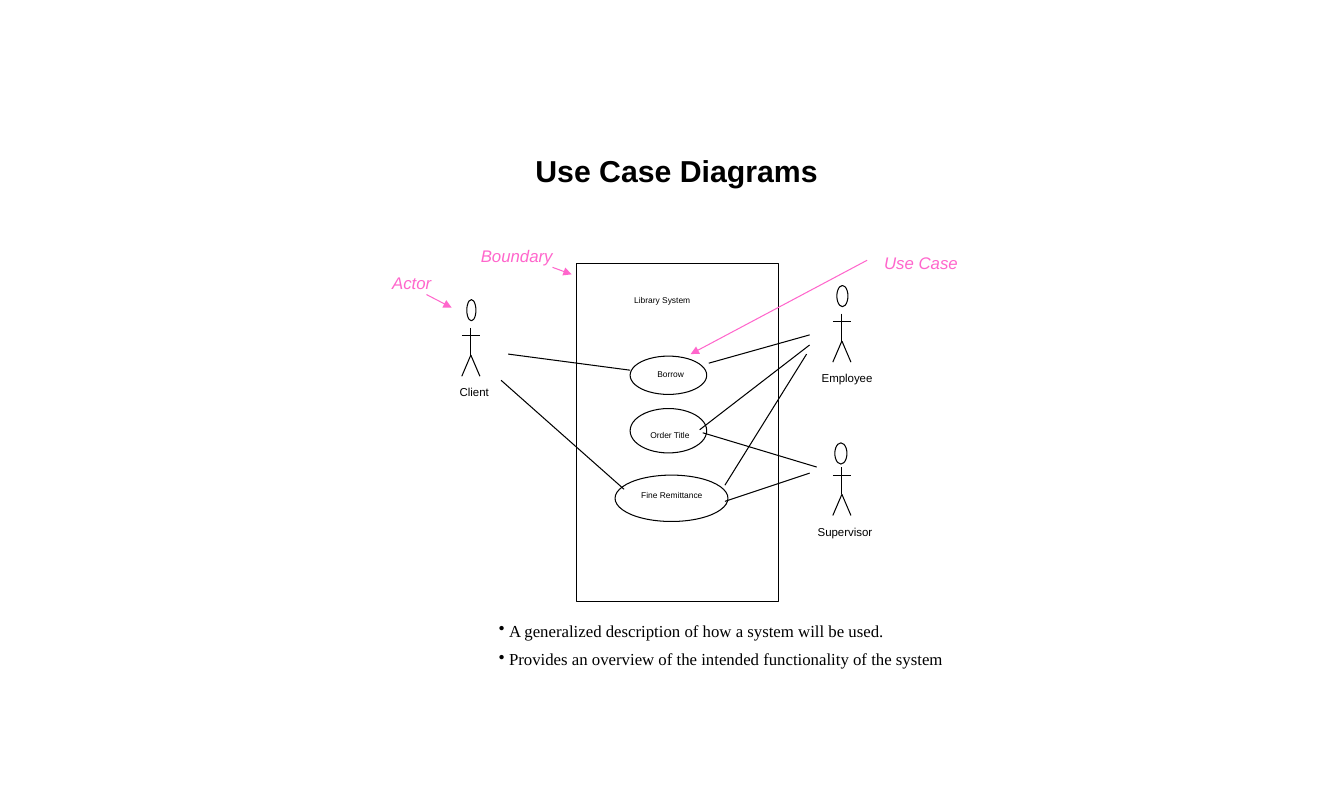
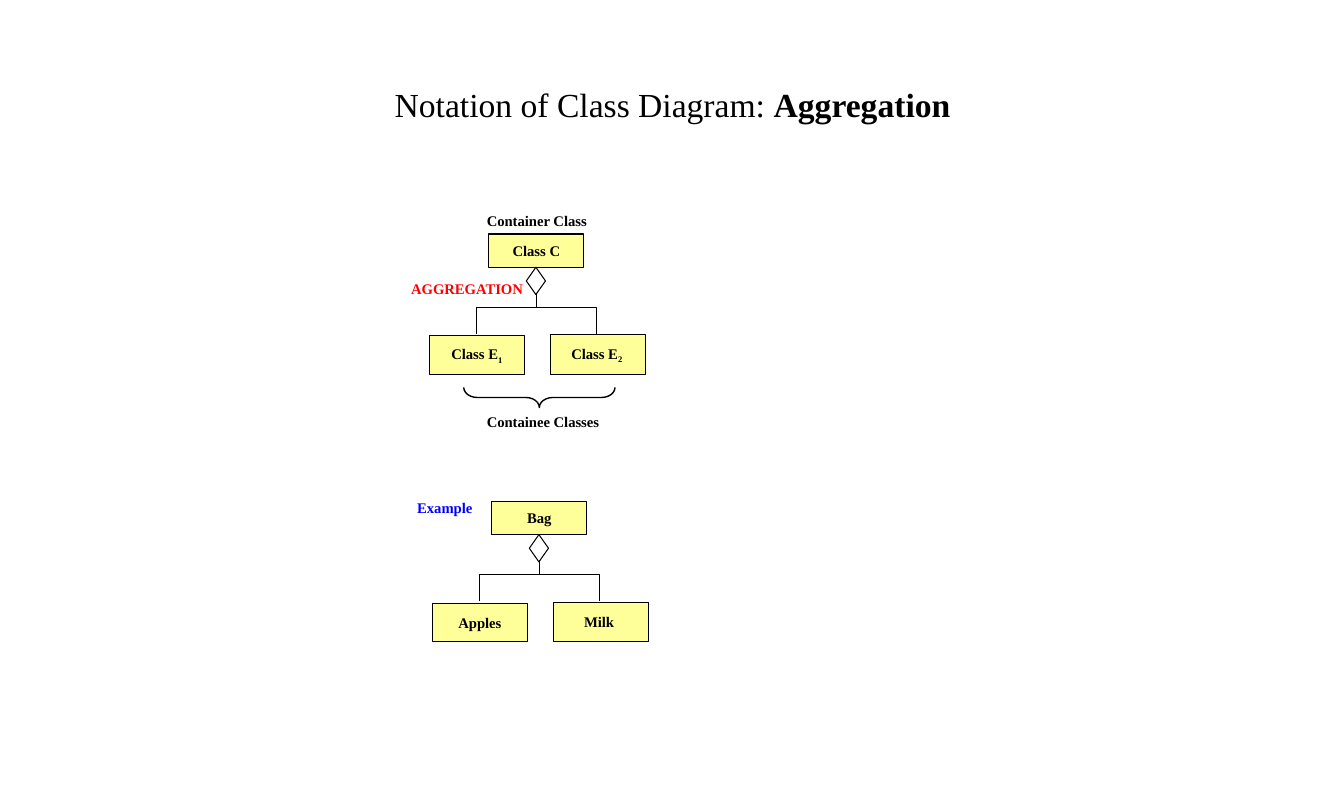
"""Build two UML slides: a use case diagram and the aggregation notation."""
from lxml import etree
from pptx import Presentation
from pptx.dml.color import RGBColor
from pptx.enum.shapes import MSO_CONNECTOR as Connector, MSO_SHAPE as Preset
from pptx.enum.text import MSO_ANCHOR as Anchor, PP_ALIGN as Align
from pptx.oxml.ns import qn
from pptx.util import Inches, Pt

COLORS = {"ink": "000000", "paper": "FFFFFF", "note": "FF66CC",
          "class": "FFFF99", "relation": "FF0000", "example": "0000FF"}
SANS, SERIF = "Arial", "Times New Roman"
PADDED, TIGHT = (0.1, 0.05, 0.1, 0.05), (0, 0, 0, 0)

USE_CASE_TITLE = "Use Case Diagrams"
BOUNDARY = (5.72, 2.61, 2, 3.35)
SYSTEM_LABEL = ("Library System", (6.29, 2.93, 0.74, 0.11))
USE_CASES = [
    ("Borrow", (6.25, 3.53, 0.76, 0.38), (6.52, 3.66, 0.3, 0.11)),
    ("Order Title", (6.25, 4.05, 0.76, 0.44), (6.45, 4.26, 0.43, 0.11)),
    ("Fine Remittance", (6.1, 4.71, 1.12, 0.46), (6.36, 4.86, 0.65, 0.11)),
]
ASSOCIATIONS = [
    ((5.04, 3.51), (6.25, 3.67)),
    ((4.97, 3.77), (6.19, 4.85)),
    ((8.03, 3.42), (6.94, 4.26)),
    ((8, 3.51), (7.19, 4.81)),
    ((7.03, 3.6), (8.03, 3.32)),
    ((6.97, 4.29), (8.1, 4.63)),
    ((7.19, 4.97), (8.03, 4.69)),
]
ACTORS = [
    ("Client", (4.67, 3.25), (4.63, 2.97, 0.09, 0.21), (4.56, 3.82, 0.33, 0.15)),
    ("Employee", (8.35, 3.11), (8.3, 2.83, 0.11, 0.21), (8.15, 3.68, 0.56, 0.15)),
    ("Supervisor", (8.35, 4.63), (8.28, 4.39, 0.12, 0.21), (8.11, 5.2, 0.6, 0.15)),
]
LIMBS = [
    ((0, 0), (0, 0.27)),
    ((-0.09, 0.08), (0.09, 0.08)),
    ((0, 0.27), (-0.09, 0.48)),
    ((0, 0.27), (0.09, 0.48)),
]
NOTES = [
    ("Boundary", (4.67, 2.39, 0.92, 0.32), (5.48, 2.65), (5.67, 2.72)),
    ("Actor", (3.79, 2.65, 0.81, 0.32), (4.23, 2.92), (4.48, 3.05)),
    ("Use Case", (8.67, 2.46, 1.12, 0.32), (8.6, 2.58), (6.85, 3.51)),
]
BULLETS = [
    "\u00a0A generalized description of how a system will be used.",
    "\u00a0Provides an overview of the intended functionality of the system",
]

CLASS_TITLE = [("Notation of Class Diagram: ", {}), ("Aggregation", {"bold": True})]
AGGREGATIONS = [
    ((4.85, 2.32), [("Class C", "")], [("Class E", "1"), ("Class E", "2 ")]),
    ((4.88, 4.97), [("Bag", "")], [("Apples", ""), ("Milk ", "")]),
]
CLASS_LABELS = [
    ("AGGREGATION", "relation", (3.98, 2.72, 1.34, 0.28)),
    ("Container Class", "ink", (4.73, 2.05, 1.21, 0.28)),
    ("Containee Classes", "ink", (4.73, 4.04, 1.34, 0.28)),
    ("Example", "example", (4.04, 4.9, 0.8, 0.28)),
]
CONTAINER_SIZE = (0.94, 0.33)
PART_BOXES = [(-0.59, 1.01, 0.94, 0.38), (0.61, 1, 0.94, 0.39)]
FORK = [(-0.12, 0.99), (-0.12, 0.73), (1.07, 0.73), (1.07, 0.99)]
STEM = [(0.47, 0.58), (0.47, 0.73)]
DIAMOND = (0.37, 0.33, 0.19, 0.27)
BRACE = (5.25, 3.19, 0.2, 1.5)


def rgb(name):
    return RGBColor.from_string(COLORS[name])


def shift(origin, point):
    return origin[0] + point[0], origin[1] + point[1]


def add_run(paragraph, text, size, font=SERIF, color="ink", bold=False,
            italic=False, baseline=0):
    run = paragraph.add_run()
    run.text = text
    run.font.name, run.font.size = font, Pt(size)
    run.font.bold, run.font.italic = bold, italic
    run.font.color.rgb = rgb(color)
    if baseline:
        run._r.get_or_add_rPr().set("baseline", str(baseline * 1000))


def set_frame(shape, insets=PADDED, anchor=Anchor.TOP):
    frame = shape.text_frame
    frame.word_wrap, frame.vertical_anchor = True, anchor
    (frame.margin_left, frame.margin_top,
     frame.margin_right, frame.margin_bottom) = map(Inches, insets)
    return frame


def add_text(slide, box, runs, insets=PADDED, anchor=Anchor.TOP, align=Align.LEFT, **style):
    frame = set_frame(slide.shapes.add_textbox(*map(Inches, box)), insets, anchor)
    paragraph = frame.paragraphs[0]
    paragraph.alignment = align
    for text, extra in runs:
        add_run(paragraph, text, **{**style, **extra})


def add_title(slide, box, runs, insets, **style):
    add_text(slide, box, runs, insets, Anchor.MIDDLE, Align.CENTER, **style)


def outline(shape, fill=None, width=0.75):
    shape.shadow.inherit = False
    if fill:
        shape.fill.solid()
        shape.fill.fore_color.rgb = rgb(fill)
    else:
        shape.fill.background()
    shape.line.color.rgb = rgb("ink")
    shape.line.width = Pt(width)
    return shape


def add_preset(slide, preset, box, fill=None, width=0.75):
    return outline(slide.shapes.add_shape(preset, *map(Inches, box)), fill, width)


def add_line(slide, start, end, color="ink", arrow=False):
    line = slide.shapes.add_connector(Connector.STRAIGHT, *map(Inches, (*start, *end)))
    line.line.color.rgb = rgb(color)
    line.line.width = Pt(0.75)
    properties = line._element.spPr
    if arrow:
        etree.SubElement(properties.find(qn("a:ln")), qn("a:tailEnd"), type="triangle")
    etree.SubElement(properties, qn("a:effectLst"))


def add_actor(slide, name, neck, head, label):
    for start, end in LIMBS:
        add_line(slide, shift(neck, start), shift(neck, end))
    add_preset(slide, Preset.OVAL, head, "paper")
    add_text(slide, label, [(name, {})], TIGHT, size=8.2, font=SANS)


def add_bullets(slide, box, items):
    frame = set_frame(slide.shapes.add_textbox(*map(Inches, box)))
    for index, item in enumerate(items):
        paragraph = frame.add_paragraph() if index else frame.paragraphs[0]
        paragraph.space_before = Pt(6 if index else 0)
        properties = paragraph._p.get_or_add_pPr()
        properties.set("marL", "0")
        properties.set("indent", str(Inches(-0.08)))
        etree.SubElement(properties, qn("a:buChar"), char="•")
        add_run(paragraph, item, 12)


def add_class(slide, box, name, subscript):
    shape = add_preset(slide, Preset.RECTANGLE, box, "class")
    paragraph = set_frame(shape, anchor=Anchor.MIDDLE).paragraphs[0]
    paragraph.alignment = Align.CENTER
    add_run(paragraph, name, 10.5, bold=True)
    if subscript:
        add_run(paragraph, subscript, 10.5, bold=True, baseline=-25)


def add_aggregation(slide, origin, container, parts):
    add_class(slide, (*origin, *CONTAINER_SIZE), *container[0])
    for part, box in zip(parts, PART_BOXES):
        add_class(slide, (*shift(origin, box), *box[2:]), *part)
    corners = [tuple(map(Inches, shift(origin, point))) for point in FORK]
    builder = slide.shapes.build_freeform(*corners[0])
    builder.add_line_segments(corners[1:], close=False)
    outline(builder.convert_to_shape())
    add_line(slide, *(shift(origin, point) for point in STEM))
    add_preset(slide, Preset.DIAMOND, (*shift(origin, DIAMOND), *DIAMOND[2:]))


def build_use_cases(slide):
    add_title(slide, (3.48, 1.4, 5.64, 0.93), [(USE_CASE_TITLE, {})],
              (0.92, 0.05, 0.1, 0.41), size=21.6, font=SANS, bold=True)
    add_preset(slide, Preset.RECTANGLE, BOUNDARY, "paper")
    for name, oval, _ in USE_CASES:
        add_preset(slide, Preset.OVAL, oval, "paper")
    for name, box in [SYSTEM_LABEL] + [(name, box) for name, _, box in USE_CASES]:
        add_text(slide, box, [(name, {})], TIGHT, size=6, font=SANS)
    for start, end in ASSOCIATIONS:
        add_line(slide, start, end)
    for actor in ACTORS:
        add_actor(slide, *actor)
    add_bullets(slide, (4.85, 6.1, 5.06, 0.88), BULLETS)
    for name, box, start, end in NOTES:
        add_text(slide, box, [(name, {})], size=12, font=SANS, color="note", italic=True)
        add_line(slide, start, end, "note", arrow=True)


def build_aggregation(slide):
    add_title(slide, (3.43, 0.8, 6.48, 0.46), CLASS_TITLE, (0.08, 0.04, 0.08, 0.04), size=24)
    for aggregation in AGGREGATIONS:
        add_aggregation(slide, *aggregation)
    for name, color, box in CLASS_LABELS:
        add_text(slide, box, [(name, {})], size=10.5, color=color, bold=True)
    brace = add_preset(slide, Preset.LEFT_BRACE, BRACE, width=1)
    brace.rotation = 270
    brace.adjustments[0] = 0.667


presentation = Presentation()
presentation.slide_width, presentation.slide_height = Inches(13.33), Inches(7.95)
for build in (build_use_cases, build_aggregation):
    build(presentation.slides.add_slide(presentation.slide_layouts[6]))
presentation.save("out.pptx")
